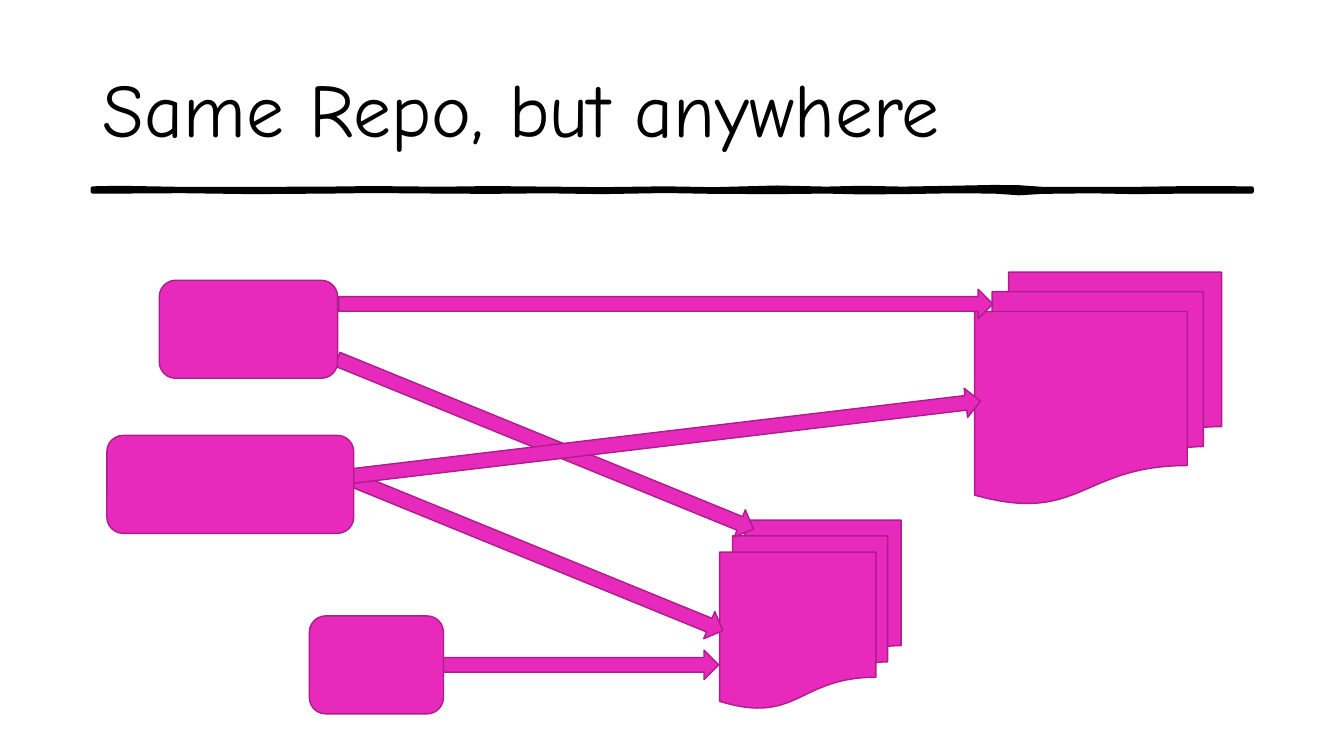
import pptx
import pptx.dml.color
import pptx.enum.shapes
import pptx.enum.text
import pptx.util
from dataclasses import dataclass

Pt = pptx.util.Pt
SHAPE = pptx.enum.shapes.MSO_SHAPE


@dataclass(frozen=True)
class Theme:
    font: str = "Comic Neue"
    title_size: float = 54
    ink: str = "000000"
    fill: str = "E729BC"
    outline: str = "AB1E8B"
    outline_width: float = 1
    rule_width: float = 3


class RepoSlide:
    """Holds the theme and the current slide; all lengths are in points."""

    def __init__(self, presentation, theme):
        self.theme = theme
        self.slide = presentation.slides.add_slide(presentation.slide_layouts[5])

    def paint(self, shape, fill, line, width):
        shape.shadow.inherit = False
        shape.fill.solid()
        shape.fill.fore_color.rgb = pptx.dml.color.RGBColor.from_string(fill)
        shape.line.color.rgb = pptx.dml.color.RGBColor.from_string(line)
        shape.line.width = Pt(width)

    def title(self, wording, left, top, width, height):
        heading = self.slide.shapes.title
        heading.left, heading.top = Pt(left), Pt(top)
        heading.width, heading.height = Pt(width), Pt(height)
        frame = heading.text_frame
        frame.word_wrap = True
        frame.auto_size = pptx.enum.text.MSO_AUTO_SIZE.NONE
        frame.vertical_anchor = pptx.enum.text.MSO_ANCHOR.MIDDLE
        paragraph = frame.paragraphs[0]
        paragraph.alignment = pptx.enum.text.PP_ALIGN.LEFT
        paragraph.line_spacing = 0.9
        run = paragraph.add_run()
        run.text = wording
        run.font.name = self.theme.font
        run.font.size = Pt(self.theme.title_size)
        run.font.color.rgb = pptx.dml.color.RGBColor.from_string(self.theme.ink)

    def hand_drawn_rule(self, stations):
        """Outline a band from (x, upper y, lower y) stations."""
        upper = [(x, high) for x, high, low in stations]
        lower = [(x, low) for x, high, low in reversed(stations)]
        start, *others = [(Pt(x), Pt(y)) for x, y in upper + lower]
        builder = self.slide.shapes.build_freeform(*start)
        builder.add_line_segments(others, close=True)
        self.paint(builder.convert_to_shape(), self.theme.ink,
                   self.theme.ink, self.theme.rule_width)

    def block(self, kind, left, top, width, height, rotation=0):
        shape = self.slide.shapes.add_shape(
            kind, Pt(left), Pt(top), Pt(width), Pt(height))
        shape.rotation = rotation
        self.paint(shape, self.theme.fill, self.theme.outline,
                   self.theme.outline_width)

    def repo(self, left, top, width, height):
        self.block(SHAPE.FLOWCHART_MULTIDOCUMENT, left, top, width, height)

    def arrow(self, left, top, length, rotation=0):
        self.block(SHAPE.RIGHT_ARROW, left, top, length, 21, rotation)

    def machine(self, left, top, width):
        self.block(SHAPE.ROUNDED_RECTANGLE, left, top, width, 70)


def main():
    presentation = pptx.Presentation()
    presentation.slide_width, presentation.slide_height = Pt(960), Pt(540)
    page = RepoSlide(presentation, Theme())

    # Heading with its brush-like rule
    page.title("Same Repo, but anywhere", 66.24, 28.8, 828, 104.4)
    page.hand_drawn_rule([
        (66.2, 134.6, 136.8), (85, 134.2, 136.8), (130, 135, 136.5),
        (180, 135, 137.2), (235, 134.8, 136.8), (265, 134.4, 136.4),
        (315, 134.9, 136.8), (350, 134.4, 137), (390, 134.8, 136.6),
        (430, 135.2, 137.2), (475, 134.6, 136.4), (510, 135.2, 137),
        (555, 134, 137.2), (590, 134.8, 136.8), (615, 134.2, 137.4),
        (645, 134.8, 137.2), (680, 134.2, 136.6), (710, 133.6, 136.8),
        (728, 133.8, 138), (745, 135, 137), (780, 135, 136.6),
        (810, 135, 137.2), (850, 134.4, 136.8), (894.2, 134.6, 136.8)])

    # Repositories
    page.repo(696.2, 194.4, 176.4, 165.6)
    page.repo(514.1, 371.5, 129.6, 134.6)

    # Arrows from machines to repositories
    page.arrow(241.9, 206.6, 467.3)
    page.arrow(236.9, 385.2, 290.2, 22.2)
    page.arrow(229, 306.7, 321.1, 22.2)
    page.arrow(311.8, 464.4, 201.6)
    page.arrow(244.1, 303.1, 457.9, 353.2)

    # Machines
    page.machine(76.3, 311, 176.4)
    page.machine(221, 439.9, 95.8)
    page.machine(113.8, 200.2, 127.4)

    presentation.save("out.pptx")


if __name__ == "__main__":
    main()
